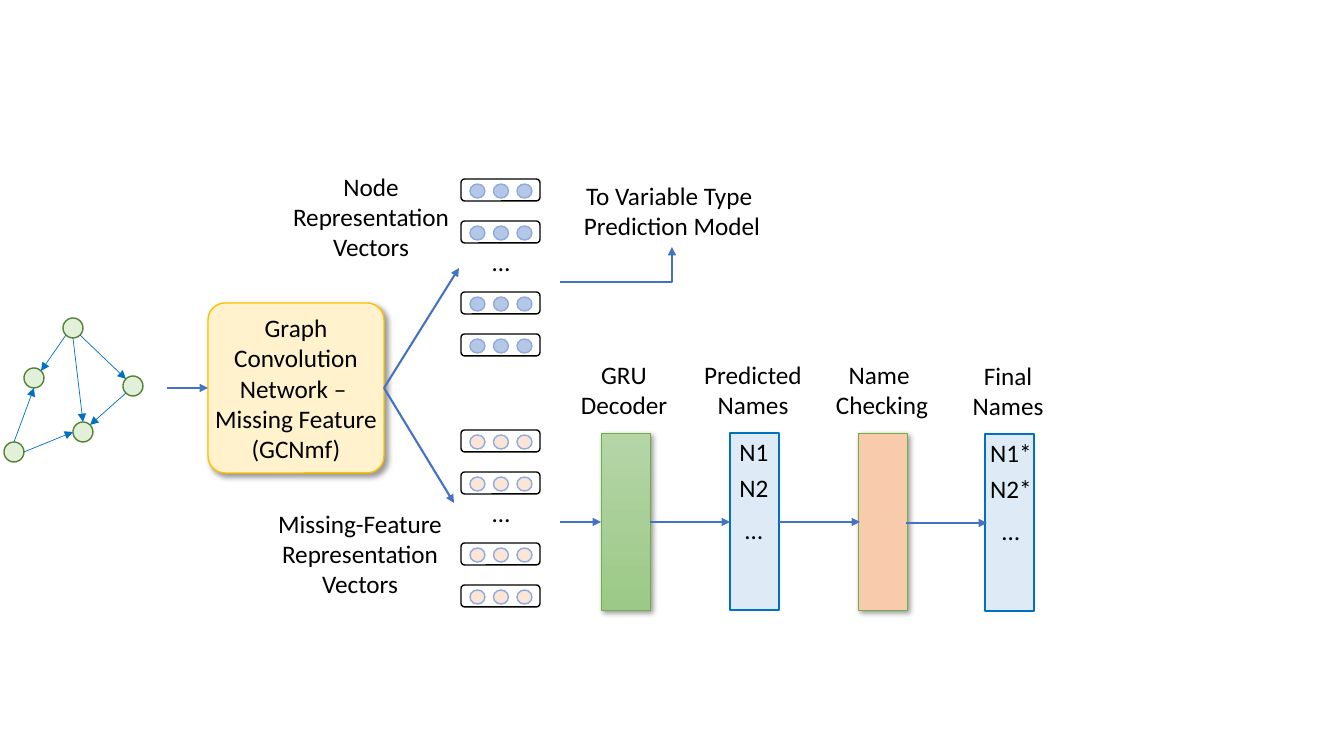
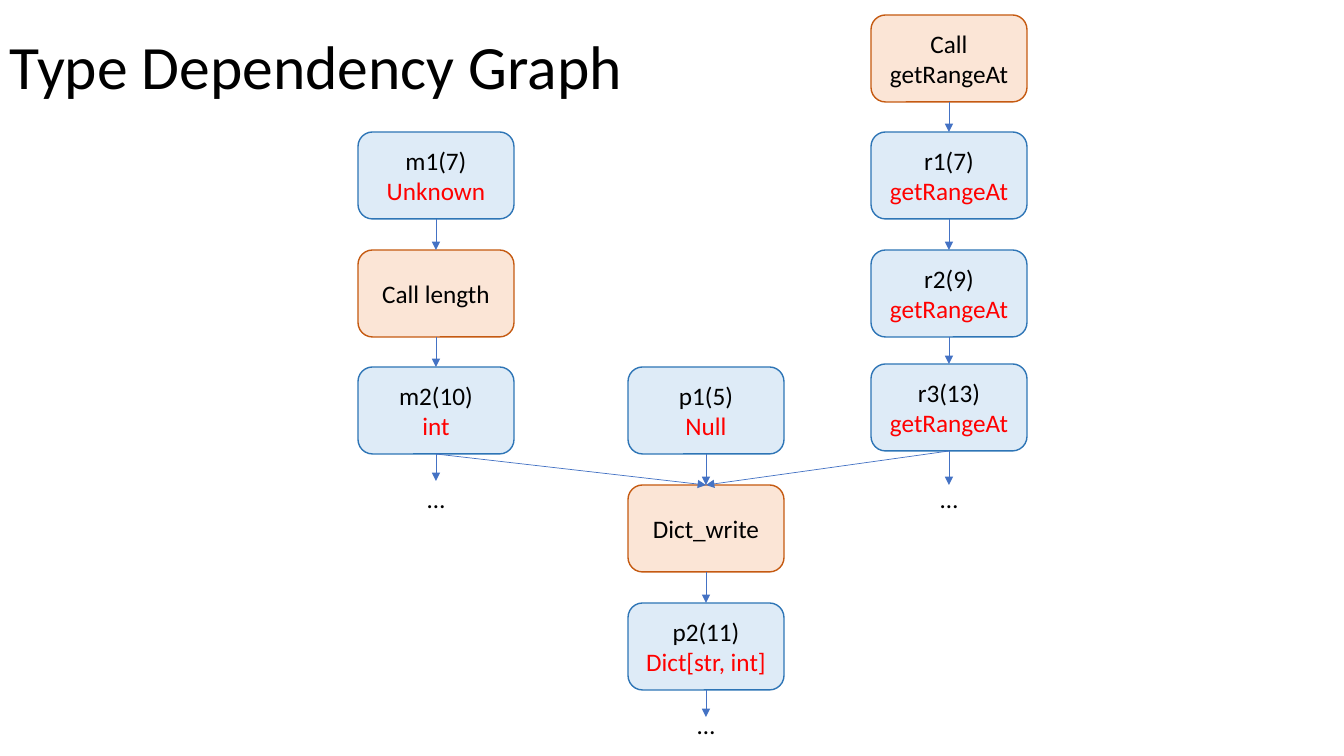
"""Build two slides: a name prediction pipeline and a type dependency graph."""
from itertools import pairwise
from math import cos, radians, sin

from lxml.etree import SubElement
from pptx import Presentation
from pptx.dml.color import RGBColor
from pptx.enum.shapes import MSO_CONNECTOR, MSO_SHAPE
from pptx.enum.text import MSO_ANCHOR, PP_ALIGN
from pptx.oxml.ns import qn
from pptx.util import Emu, Pt

PIXEL = 914400 / 100.8
FONT = "Calibri"
BLACK, RED, BLUE, DEEP_BLUE = "000000", "FF0000", "4472C4", "0070C0"
PALE_BLUE, PALE_ORANGE, GREEN = "DEEBF7", "FBE5D6", "70AD47"
NODE, NODE_WIDTH, NODE_HEIGHT = 20, 156, 87
TEXT_HEIGHT = 40


def px(length):
    """Turn pixels into EMU."""
    return Emu(round(length * PIXEL))


def color(value):
    """Turn a hex string into a colour."""
    return RGBColor.from_string(value)


def write(frame, lines, size=18, align=PP_ALIGN.CENTER):
    """Write (text, colour) lines as one paragraph each."""
    for index, (text, ink) in enumerate(lines):
        para = frame.paragraphs[0] if index == 0 else frame.add_paragraph()
        para.alignment = align
        span = para.add_run()
        span.text = text
        span.font.name = FONT
        span.font.size = Pt(size)
        span.font.color.rgb = color(ink)


def add_label(shapes, center, top, lines, width=62, height=TEXT_HEIGHT):
    """Add black centred lines that do not wrap."""
    box = shapes.add_textbox(px(center - width / 2), px(top), px(width), px(height))
    box.text_frame.word_wrap = False
    write(box.text_frame, [(line, BLACK) for line in lines])


def add_title(page, text):
    """Add the slide title."""
    box = page.shapes.add_textbox(px(0), px(-3), px(1159), px(146))
    box.text_frame.word_wrap = True
    box.text_frame.vertical_anchor = MSO_ANCHOR.MIDDLE
    write(box.text_frame, [(text, BLACK)], 44, PP_ALIGN.LEFT)
    box.text_frame.paragraphs[0].line_spacing = 0.9


def add_figure(shapes, kind, area, fill, outline, weight=1):
    """Add a preset shape, without fill when fill is None."""
    figure = shapes.add_shape(kind, *map(px, area))
    figure.shadow.inherit = False
    if fill:
        figure.fill.solid()
        figure.fill.fore_color.rgb = color(fill)
    else:
        figure.fill.background()
    figure.line.color.rgb = color(outline)
    figure.line.width = Pt(weight)
    return figure


def add_shadow(figure):
    """Cast a soft shadow to the lower right."""
    effects = figure.element.spPr.find(qn("a:effectLst"))
    shadow = SubElement(effects, qn("a:outerShdw"), blurRad="50800", dist="38100",
                        dir="2700000", algn="tl", rotWithShape="0")
    ink = SubElement(shadow, qn("a:srgbClr"), val=BLACK)
    SubElement(ink, qn("a:alpha"), val="40000")


def add_arrow(shapes, start, end, ink=BLUE, weight=0.5, bent=False):
    """Add an arrow, straight or with one right-angled bend."""
    kind = MSO_CONNECTOR.ELBOW if bent else MSO_CONNECTOR.STRAIGHT
    arrow = shapes.add_connector(kind, *map(px, (*start, *end)))
    arrow.line.color.rgb = color(ink)
    arrow.line.width = Pt(weight)
    properties = arrow.element.spPr
    SubElement(properties.find(qn("a:ln")), qn("a:tailEnd"), type="triangle")
    SubElement(properties, qn("a:effectLst"))
    if bent:
        properties.find(qn("a:prstGeom")).set("prst", "bentConnector2")


def rim(corner, degrees):
    """Find the point of a graph node's rim, clockwise from the right."""
    radius = NODE / 2
    angle = radians(degrees)
    return (corner[0] + radius + radius * cos(angle),
            corner[1] + radius + radius * sin(angle))


def add_graph(page):
    """Add the small directed graph."""
    shapes = page.shapes.add_group_shape().shapes
    peak, left, middle, right, low = corners = [
        (63, 318), (24, 368), (73, 422), (123, 376), (4, 442)]
    for corner in corners:
        add_figure(shapes, MSO_SHAPE.OVAL, (*corner, NODE, NODE), "E2F0D9", "548235")
    edges = [(peak, 135, left, 315), (peak, 90, middle, 270), (peak, 45, right, 225),
             (right, 135, middle, 315), (low, 0, middle, 180), (low, 270, left, 90)]
    for source, leave, target, arrive in edges:
        add_arrow(shapes, rim(source, leave), rim(target, arrive), DEEP_BLUE)


def add_vectors(page, top, fill):
    """Add a stack of four vectors with three dots each."""
    shapes = page.shapes.add_group_shape().shapes
    left = 461
    for offset in (0, 42, 113, 155):
        add_figure(shapes, MSO_SHAPE.ROUNDED_RECTANGLE,
                   (left, top + offset, 79, 22), None, BLACK)
        for index in range(3):
            add_figure(shapes, MSO_SHAPE.OVAL,
                       (left + 9 + 23.5 * index, top + offset + 5, 15, 14),
                       fill, "8FAADC")
    add_label(shapes, left + 40, top + 62, ["…"], 38)


def add_stage(page, left, top, fill, outline, weight, label, label_center):
    """Add one tall bar of the pipeline with its label."""
    bar = add_figure(page.shapes, MSO_SHAPE.RECTANGLE, (left, top, 49, 177),
                     fill, outline, weight)
    add_label(page.shapes, label_center, top - 79, label, 126, 72)
    return bar


def add_names(page, center, top, names):
    """List names down a bar."""
    for offset, name in zip((-2, 34, 76), names):
        add_label(page.shapes, center, top + offset, [name])


def build_pipeline(page):
    """Lay out the name prediction pipeline."""
    add_graph(page)
    network = add_figure(page.shapes, MSO_SHAPE.ROUNDED_RECTANGLE,
                         (208, 303, 176, 170), "FFF2CC", "FFC000")
    network.adjustments[0] = 0.1
    add_shadow(network)
    frame = network.text_frame
    frame.margin_left = frame.margin_right = frame.margin_top = frame.margin_bottom = 0
    frame.vertical_anchor = MSO_ANCHOR.MIDDLE
    write(frame, [(line, BLACK) for line in (
        "Graph", "Convolution", "Network – ", "Missing Feature", "(GCNmf)")])

    add_vectors(page, 179, "B4C7E7")
    add_vectors(page, 430, PALE_ORANGE)
    add_label(page.shapes, 371, 166, ["Node", "Representation", "Vectors"], 184, 102)
    add_label(page.shapes, 360, 503,
              ["Missing-Feature", "Representation", "Vectors"], 184, 102)
    add_label(page.shapes, 672, 175, ["To Variable Type ", "Prediction Model"], 213, 72)

    decoder = add_stage(page, 601, 433, GREEN, GREEN, 0.5, ["GRU", "Decoder"], 624)
    decoder.fill.gradient()
    decoder.fill.gradient_angle = 270
    for stop, value in zip(decoder.fill.gradient_stops, ("B5D5A7", "9CC987")):
        stop.color.rgb = color(value)
    add_shadow(decoder)
    add_stage(page, 730, 433, PALE_BLUE, DEEP_BLUE, 1, ["Predicted", "Names"], 753)
    add_names(page, 754, 433, ["N1", "N2", "…"])
    checking = add_stage(page, 858, 433, "F8CBAD", GREEN, 0.5, ["Name ", "Checking"], 882)
    add_shadow(checking)
    add_stage(page, 985, 434, PALE_BLUE, DEEP_BLUE, 1, ["Final", "Names"], 1008)
    add_names(page, 1011, 434, ["N1*", "N2*", "…"])

    for start, end in [((167, 388), (208, 388)), ((384, 388), (459, 268)),
                       ((384, 388), (454, 503)), ((560, 522), (601, 522)),
                       ((650, 522), (730, 522)), ((779, 522), (860, 522)),
                       ((906, 523), (987, 523))]:
        add_arrow(page.shapes, start, end, weight=1.5)
    add_arrow(page.shapes, (560, 282), (672, 247), weight=1.5, bent=True)


def add_node(page, left, top, name, kind):
    """Add a typed variable, or an operation when kind is None."""
    fill, outline = (PALE_BLUE, "2E75B6") if kind else (PALE_ORANGE, "C55A11")
    node = add_figure(page.shapes, MSO_SHAPE.ROUNDED_RECTANGLE,
                      (left, top, NODE_WIDTH, NODE_HEIGHT), fill, outline)
    node.text_frame.word_wrap = True
    node.text_frame.vertical_anchor = MSO_ANCHOR.MIDDLE
    write(node.text_frame, [(name, BLACK)] + ([(kind, RED)] if kind else []))


def add_chain(page, left, nodes, exit_length, dots_top):
    """Add a column of linked nodes that goes on below; return its last foot."""
    center = left + NODE_WIDTH / 2
    for top, name, kind in nodes:
        add_node(page, left, top, name, kind)
    for (upper, *_), (lower, *_) in pairwise(nodes):
        add_arrow(page.shapes, (center, upper + NODE_HEIGHT), (center, lower))
    foot = (center, nodes[-1][0] + NODE_HEIGHT)
    add_arrow(page.shapes, foot, (center, foot[1] + exit_length))
    add_label(page.shapes, center, dots_top, ["…"], 38)
    return foot


def build_dependencies(page):
    """Lay out the type dependency graph."""
    add_title(page, "Type Dependency Graph")
    rows = [round(14.6 + 117.6 * index) for index in range(6)]
    add_chain(page, 628, [(rows[3], "p1(5)", "Null"), (rows[4], "Dict_write", None),
                          (rows[5], "p2(11)", "Dict[str, int]")], 27, 704)
    lengths = add_chain(page, 358, [(rows[1], "m1(7)", "Unknown"),
                                    (rows[2], "Call length", None),
                                    (rows[3], "m2(10)", "int")], 27, 478)
    ranges = add_chain(page, 871, [(rows[0], "Call getRangeAt", None),
                                   (rows[1], "r1(7)", "getRangeAt"),
                                   (rows[2], "r2(9)", "getRangeAt"),
                                   (364, "r3(13)", "getRangeAt")], 34, 478)
    for foot in (lengths, ranges):
        add_arrow(page.shapes, foot, (628 + NODE_WIDTH / 2, rows[4]))


def main():
    """Build and save the deck."""
    deck = Presentation()
    deck.slide_width, deck.slide_height = px(1344), px(756)
    for build in (build_pipeline, build_dependencies):
        build(deck.slides.add_slide(deck.slide_layouts[6]))
    deck.save("out.pptx")


main()
